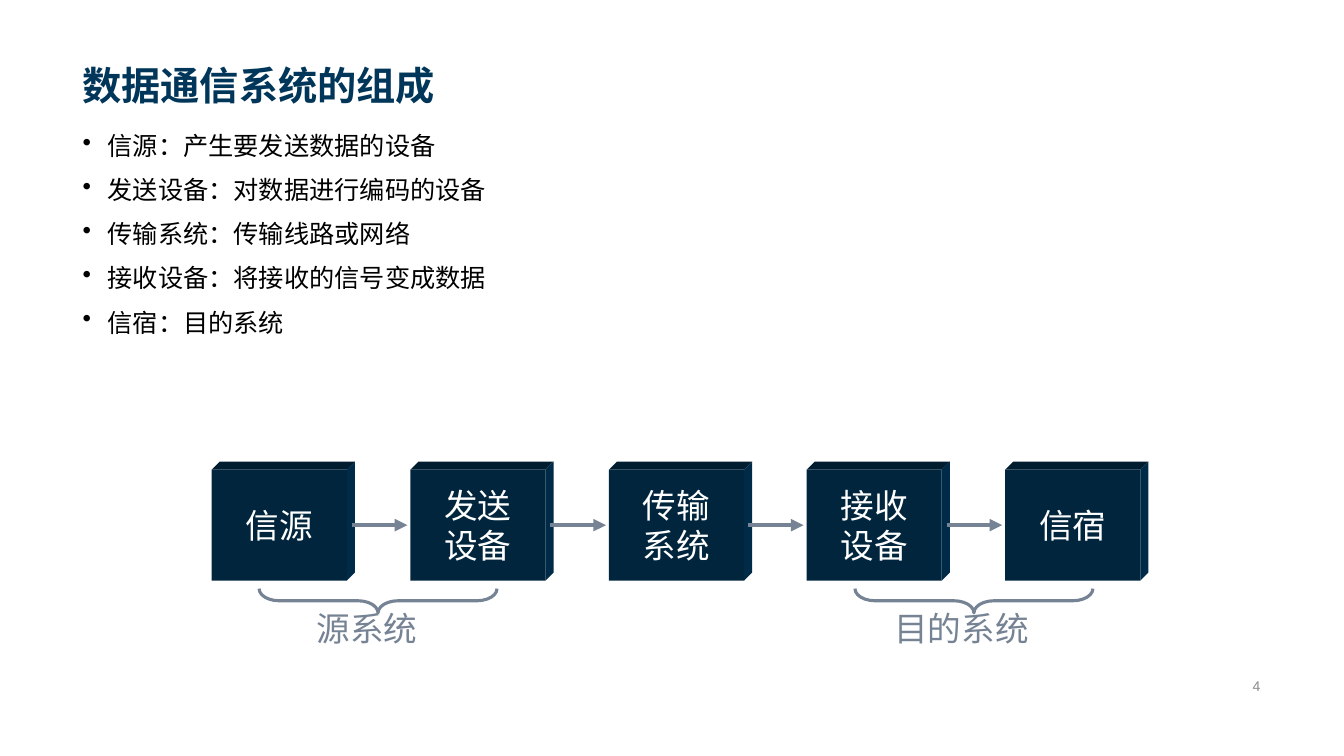
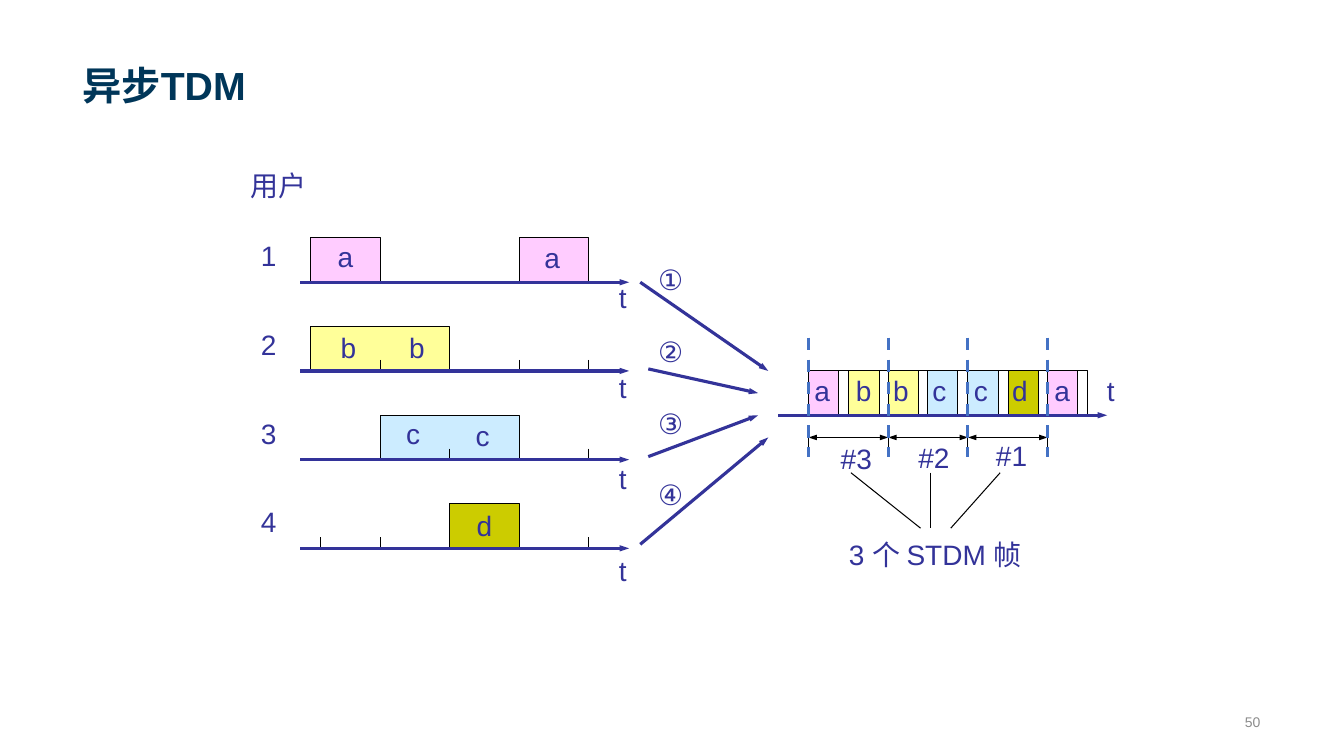
from lxml import etree
from pptx import Presentation, util as u
from pptx.dml.color import RGBColor
from pptx.enum import dml, shapes, text
from pptx.oxml.ns import qn

# Shared look; lengths are px, 100 to the inch
PX = 9144
FONT = "Arial"
NAVY, GREY, INDIGO, BLACK = "003659", "768394", "333399", "000000"
FRONT, TOP, SIDE, WHITE = "00253D", "001D30", "002B48", "FFFFFF"
DASH_BLUE, NUMBER_GREY = "4472C4", "8C8C8C"
USER_FILL = {"a": "FFCCFF", "b": "FFFF99", "c": "CCECFF", "d": "CCCC00"}
TITLE_AT = (72, 14, 1188, 98)

# Slide 1 content
PARTS = [
    "信源：产生要发送数据的设备",
    "发送设备：对数据进行编码的设备",
    "传输系统：传输线路或网络",
    "接收设备：将接收的信号变成数据",
    "信宿：目的系统",
]
STAGES = ["信源", "发送\n设备", "传输\n系统", "接收\n设备", "信宿"]
SYSTEMS = [("源系统", 363, 304, 121), ("目的系统", 954, 877, 155)]

# Slide 2 content: blocks (user, first slot, slots), letters (left, top), ticks (slots)
USERS = [
    dict(blocks=[("a", 0, 1), ("a", 3, 1)], letters=[(325, 233), (530, 234)],
         ticks=[], t_top=273),
    dict(blocks=[("b", 0, 2)], letters=[(328, 323), (396, 323)],
         ticks=[1, 3, 4], t_top=363),
    dict(blocks=[("c", 1, 2)], letters=[(393, 408), (462, 410)],
         ticks=[2, 4], t_top=453),
    dict(blocks=[("d", 2, 1)], letters=[(463, 500)],
         ticks=[1, 4], t_top=544),
]
FLOWS = [("①", 635, 280, 762, 368), ("②", 643, 366, 752, 390),
         ("③", 643, 453, 752, 412), ("④", 635, 540, 762, 434)]
FRAME_CELLS = [("a", 798), ("b", 839), ("b", 876), ("c", 915),
               ("c", 956), ("d", 994), ("a", 1036)]
FRAMES = [("#3", 824, 433), ("#2", 901, 432), ("#1", 978, 430)]
FRAME_POINTERS = [(844, 913), (923, 923), (992, 943)]


def px(*values):
    return [round(v * PX) for v in values]


def color(value):
    return RGBColor.from_string(value)


def paint(sp, fill=None, line=None, width=0.75):
    sp.shadow.inherit = False
    if fill:
        sp.fill.solid()
        sp.fill.fore_color.rgb = color(fill)
    else:
        sp.fill.background()
    if line:
        sp.line.color.rgb = color(line)
        sp.line.width = u.Pt(width)
    else:
        sp.line.fill.background()


def write(sp, lines, size, ink, align="LEFT", anchor="TOP", wrap=False,
          grow=False, bold=False, before=0, bullet=False):
    tf = sp.text_frame
    frame = dict(word_wrap=wrap, vertical_anchor=getattr(text.MSO_ANCHOR, anchor))
    if grow:
        frame["auto_size"] = text.MSO_AUTO_SIZE.SHAPE_TO_FIT_TEXT
    for name, value in frame.items():
        setattr(tf, name, value)
    for i, line in enumerate(lines):
        p = tf.paragraphs[0] if i == 0 else tf.add_paragraph()
        p.alignment = getattr(text.PP_ALIGN, align)
        if i and before:
            p.space_before = u.Pt(before)
        if bullet:
            pPr = p._p.get_or_add_pPr()
            pPr.set("marL", "228600")
            pPr.set("indent", "-228600")
            etree.SubElement(pPr, qn("a:buChar")).set("char", "•")
        r = p.add_run()
        r.text = line
        for name, value in dict(name=FONT, size=u.Pt(size), bold=bold).items():
            setattr(r.font, name, value)
        r.font.color.rgb = color(ink)


def box(s, at, lines, size, ink, **form):
    write(s.shapes.add_textbox(*px(*at)), lines, size, ink, **form)


def label(s, words, x, y, width=36, ink=INDIGO, size=20, height=43, wrap=False):
    box(s, (x, y, width, height), [words], size, ink, grow=True, wrap=wrap)


def line(s, x1, y1, x2, y2, ink=BLACK, width=0.75, ends=(), head="sm", dash=False):
    sp = s.shapes.add_connector(shapes.MSO_CONNECTOR.STRAIGHT, *px(x1, y1, x2, y2))
    sp.line.color.rgb = color(ink)
    sp.line.width = u.Pt(width)
    if dash:
        sp.line.dash_style = dml.MSO_LINE.DASH
    for end in ends:
        tip = etree.SubElement(sp.line._get_or_add_ln(), qn("a:" + end))
        for name, value in dict(type="triangle", w=head, len="med").items():
            tip.set(name, value)
    etree.SubElement(sp._element.spPr, qn("a:effectLst"))


def arrow(s, *ends):
    line(s, *ends, ink=INDIGO, width=2.25, ends=["tailEnd"])


def outline(s, points, close=True, **look):
    builder = s.shapes.build_freeform(*points[0], scale=PX)
    builder.add_line_segments(points[1:], close=close)
    paint(builder.convert_to_shape(), **look)


def slot_box(s, x, base, width, fill=None):
    """A box standing on a time axis, open at the bottom."""
    top, right = base - 44, x + width
    outline(s, [(x, base), (x, top), (right, top), (right, base)],
            close=False, fill=fill, line=BLACK)


def new_slide(prs, title, number, number_top):
    s = prs.slides.add_slide(prs.slide_layouts[6])
    box(s, TITLE_AT, [title], 28, NAVY, anchor="BOTTOM", wrap=True, bold=True)
    box(s, (850, number_top, 410, 30), [number], 10, NUMBER_GREY,
        align="RIGHT", anchor="MIDDLE", wrap=True)
    return s


def build_components(prs):
    s = new_slide(prs, "数据通信系统的组成", "4", 666)
    box(s, (72, 124, 1188, 280), PARTS, 18, BLACK, wrap=True, before=10, bullet=True)

    # Chain of raised blocks
    left, top, width, height, depth, pitch = 210, 466, 134, 110, 8, 196.75
    for i, stage in enumerate(STAGES):
        x = round(left + i * pitch)
        right, bottom = x + width, top + height
        back_right, back_top = right + depth, top - depth
        outline(s, [(x, top), (x + depth, back_top), (back_right, back_top),
                    (right, top)], fill=TOP)
        outline(s, [(right, top), (back_right, back_top),
                    (back_right, bottom - depth), (right, bottom)], fill=SIDE)
        sp = s.shapes.add_shape(shapes.MSO_SHAPE.RECTANGLE, *px(x, top, width, height))
        paint(sp, FRONT)
        write(sp, stage.split("\n"), 24, WHITE, align="CENTER", anchor="MIDDLE")
    for i in range(len(STAGES) - 1):
        x = round(349 + i * pitch)
        line(s, x, 521, x + 55, 521, GREY, 3, ["tailEnd"], head="med")

    # Braces naming the two end systems
    for name, brace_x, name_x, name_width in SYSTEMS:
        sp = s.shapes.add_shape(shapes.MSO_SHAPE.LEFT_BRACE, *px(brace_x, 478, 24, 236))
        paint(sp, line=GREY, width=2.25)
        sp.rotation = 270
        sp.adjustments[0] = 0.83
        label(s, name, name_x, 598, name_width, GREY, 24, 50)


def build_async_tdm(prs):
    s = new_slide(prs, "异步TDM", "50", 701)
    slot_x, slot, axis_y, row = 308, 69, 280, 88

    # Users and their time slots
    label(s, "用户", 239, 162, 76)
    for i, user in enumerate(USERS):
        base = axis_y + i * row
        label(s, str(i + 1), 249, base - 48)
        for name, first, count in user["blocks"]:
            slot_box(s, slot_x + first * slot, base, count * slot, USER_FILL[name])
        for x, y in user["letters"]:
            label(s, user["blocks"][0][0], x, y)
        ticks = [slot_x + n * slot for n in user["ticks"]]
        if i == 3:
            ticks.append(slot_x + 10)
        for x in ticks:
            line(s, x, base - 11, x, base)
        label(s, "t", 604, user["t_top"], 28)
        arrow(s, 298, base, 624, base)

    # Flows into the multiplexed line
    for i, (mark, *ends) in enumerate(FLOWS):
        arrow(s, *ends)
        label(s, mark, 643, 256 + i * 71, 48)

    # Multiplexed line: data cell plus a narrow address cell
    start, pitch, base = 802, 39.5, 412
    cells = [round(start + i * pitch) for i in range(len(FRAME_CELLS))]
    for x, (name, _) in zip(cells, FRAME_CELLS):
        slot_box(s, x, base, 30, USER_FILL[name])
        slot_box(s, x + 30, base, 10)
    arrow(s, 772, base, 1098, base)
    for name, x in FRAME_CELLS:
        label(s, name, x, 366)
    label(s, "t", 1088, 366, 28)

    # Frame limits, spans and names
    limits = cells[::2]
    for x in limits:
        line(s, x, 423, x, 445)
    for x1, x2 in zip(limits, limits[1:]):
        line(s, x1, 434, x2, 434, ends=["headEnd", "tailEnd"])
    for (name, x, y), (x1, x2) in zip(FRAMES, FRAME_POINTERS):
        label(s, name, x, y, 51)
        line(s, x1, 469, x2, 524)
    label(s, "3 个 STDM 帧", 832, 528, 193, wrap=True)
    for x in limits:
        line(s, x, 335, x, 453, DASH_BLUE, 2.25, dash=True)


def main():
    prs = Presentation()
    prs.slide_width, prs.slide_height = px(1333, 750)
    build_components(prs)
    build_async_tdm(prs)
    prs.save("out.pptx")


if __name__ == "__main__":
    main()
